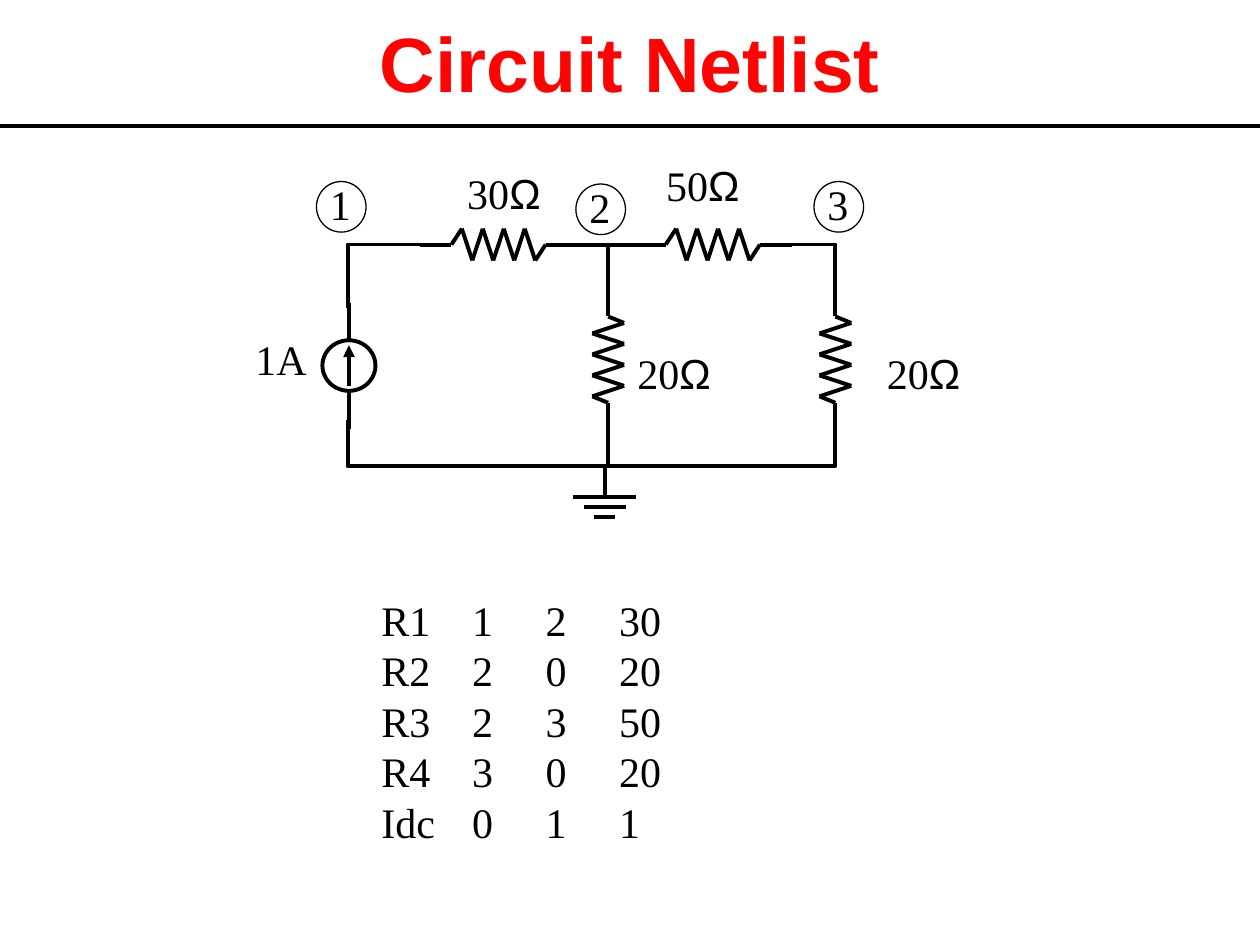
from dataclasses import dataclass
from itertools import pairwise

from lxml.etree import SubElement
from pptx import Presentation
from pptx.dml.color import RGBColor
from pptx.enum.shapes import MSO_CONNECTOR as Connector, MSO_SHAPE as Shape
from pptx.enum.text import MSO_ANCHOR as Anchor, PP_ALIGN as Align
from pptx.oxml.ns import qn
from pptx.util import Cm, Pt


@dataclass(frozen=True)
class Theme:
    ink: RGBColor = RGBColor(0, 0, 0)
    title: RGBColor = RGBColor(0xFF, 0x03, 0x03)
    title_font: str = "Arial"
    body_font: str = "Times New Roman"
    title_size: Pt = Pt(44)
    body_size: Pt = Pt(24)
    wire: Pt = Pt(2.25)
    thin: Pt = Pt(0.75)


@dataclass(frozen=True)
class Box:
    left: float
    top: float
    width: float
    height: float

    def inner(self, left, top, width, height):
        return Box(self.left + left, self.top + top, width, height)

    def point(self, x, y):
        return Cm(self.left + x), Cm(self.top + y)

    def frame(self):
        return Cm(self.left), Cm(self.top), Cm(self.width), Cm(self.height)


THEME = Theme()


def set_outline(shape, width):
    shape.line.color.rgb = THEME.ink
    shape.line.width = width


def add_line(shapes, start, end, arrow=False):
    line = shapes.add_connector(Connector.STRAIGHT, *start, *end)
    set_outline(line, THEME.wire)
    if arrow:
        SubElement(line.line._get_or_add_ln(), qn("a:tailEnd"), type="triangle")
    SubElement(line._element.spPr, qn("a:effectLst"))


def add_wire(page, points):
    builder = page.shapes.build_freeform(*points[0])
    builder.add_line_segments(points[1:], close=False)
    wire = builder.convert_to_shape()
    wire.shadow.inherit = False
    wire.fill.background()
    set_outline(wire, THEME.wire)


def add_circle(shapes, box, width):
    circle = shapes.add_shape(Shape.OVAL, *box.frame())
    circle.shadow.inherit = False
    circle.fill.background()
    set_outline(circle, width)


def style_font(font, name, size, color):
    font.name, font.size, font.color.rgb = name, size, color


def add_label(page, box, text, unit=""):
    frame = page.shapes.add_textbox(*box.frame()).text_frame
    frame.word_wrap = False
    para = frame.paragraphs[0]
    para.add_run().text = text
    style_font(para.font, THEME.body_font, THEME.body_size, THEME.ink)
    if unit:
        span = para.add_run()
        span.text = unit
        span.font.name = THEME.title_font


def add_resistor(page, box, lead, edge, vertical=False):
    length, swing = (box.height, box.width) if vertical else (box.width, box.height)
    pitch = (length - 2 * lead - 2 * edge) / 7
    peaks = [(lead + edge + pitch * index, swing * (index % 2)) for index in range(8)]
    middle = swing / 2
    path = [(0, middle), (lead, middle), *peaks, (length - lead, middle), (length, middle)]
    if vertical:
        path = [(swing - across, along) for along, across in path]
    shapes = page.shapes.add_group_shape().shapes
    for start, end in pairwise(path):
        add_line(shapes, box.point(*start), box.point(*end))


def add_current_source(page, box):
    shapes = page.shapes.add_group_shape().shapes
    middle = box.width / 2
    circle_top, circle_bottom = 0.76, box.height - 0.76
    add_circle(shapes, box.inner(0, circle_top, box.width, circle_bottom - circle_top), THEME.wire)
    add_line(shapes, box.point(middle, 0), box.point(middle, circle_top))
    add_line(shapes, box.point(middle, circle_bottom), box.point(middle, box.height))
    add_line(shapes, box.point(middle, circle_bottom - 0.1),
             box.point(middle, circle_top + 0.1), arrow=True)


def add_ground(page, box):
    shapes = page.shapes.add_group_shape().shapes
    stem = 0.66
    gap = (box.height - stem) / 2
    for index in range(3):
        inset, y = index * box.width / 6, stem + index * gap
        add_line(shapes, box.point(inset, y), box.point(box.width - inset, y))
    add_line(shapes, box.point(box.width / 2, stem), box.point(box.width / 2, 0))


def add_node(page, box, name):
    add_label(page, box.inner(0.02, -0.18, 0.91, 1.27), name)
    add_circle(page.shapes, box, THEME.thin)


def add_circuit(page, box):
    left, middle, right = 2.11, 7.36, 11.94
    top, bottom = 1.83, 6.3
    swing = 0.64

    for start in (7.88, 3.56):
        add_resistor(page, box.inner(start, top - swing / 2, 3.18, swing), 0.64, 0.21)
    for center in (middle, right):
        add_resistor(page, box.inner(center - swing / 2, 2.79, swing, 2.72), 0.49, 0.13, True)

    add_line(page.shapes, box.point(6.43, top), box.point(8.36, top))
    add_line(page.shapes, box.point(middle, 2.95), box.point(middle, top))
    wires = (
        [(left, 3.1), (left, top), (3.86, top)],
        [(right, 3.1), (right, top), (10.92, top)],
        [(left, 5.36), (left, bottom), (middle, bottom), (middle, 5.36)],
        [(middle, bottom), (right, bottom), (right, 5.2)],
    )
    for wire in wires:
        add_wire(page, [box.point(*corner) for corner in wire])

    add_current_source(page, box.inner(1.6, 3, 1.07, 2.54))
    add_ground(page, box.inner(6.66, 6.25, 1.27, 1.07))

    add_label(page, box.inner(0, 3.5, 1.55, 1.27), "1A")
    values = (("30", 4.27, 0.15), ("20", 7.7, 3.78), ("20", 12.73, 3.78), ("50", 8.28, 0))
    for value, x, y in values:
        add_label(page, box.inner(x, y, 2, 1.27), value, "Ω")
    for name, x, y in (("1", 1.48, 0.56), ("2", 6.71, 0.61), ("3", 11.51, 0.56)):
        add_node(page, box.inner(x, y, 1, 1.02), name)


def add_heading(page, box):
    frame = page.shapes.add_textbox(*box.frame()).text_frame
    frame.word_wrap = True
    frame.vertical_anchor = Anchor.MIDDLE
    para = frame.paragraphs[0]
    para.text = "Circuit Netlist"
    para.alignment = Align.CENTER
    style_font(para.font, THEME.title_font, THEME.title_size, THEME.title)
    para.font.bold = True
    rule = box.height + 0.05
    add_line(page.shapes, box.point(0, rule), box.point(box.width, rule))


def add_netlist(page, box):
    rows = (
        ("R1", "1", "2", "30"),
        ("R2", "2", "0", "20"),
        ("R3", "2", "3", "50"),
        ("R4", "3", "0", "20"),
        ("Idc", "0", "1", "1"),
    )
    frame = page.shapes.add_textbox(*box.frame()).text_frame
    frame.word_wrap = True
    for index, row in enumerate(rows):
        para = frame.add_paragraph() if index else frame.paragraphs[0]
        para.text = "\t".join(row)
        tabs = SubElement(para._p.get_or_add_pPr(), qn("a:tabLst"))
        for stop in (1.83, 3.31, 4.79):
            SubElement(tabs, qn("a:tab"), pos=str(Cm(stop)), algn="l")
        style_font(para.font, THEME.body_font, THEME.body_size, THEME.ink)


def main():
    deck = Presentation()
    deck.slide_width, deck.slide_height = Cm(25.4), Cm(19.05)
    page = deck.slides.add_slide(deck.slide_layouts[6])
    add_heading(page, Box(0, 0, 25.4, 2.49))
    add_circuit(page, Box(4.9, 3.1, 14.73, 7.32))
    add_netlist(page, Box(7.44, 11.86, 6.15, 5.33))
    deck.save("out.pptx")


if __name__ == "__main__":
    main()
